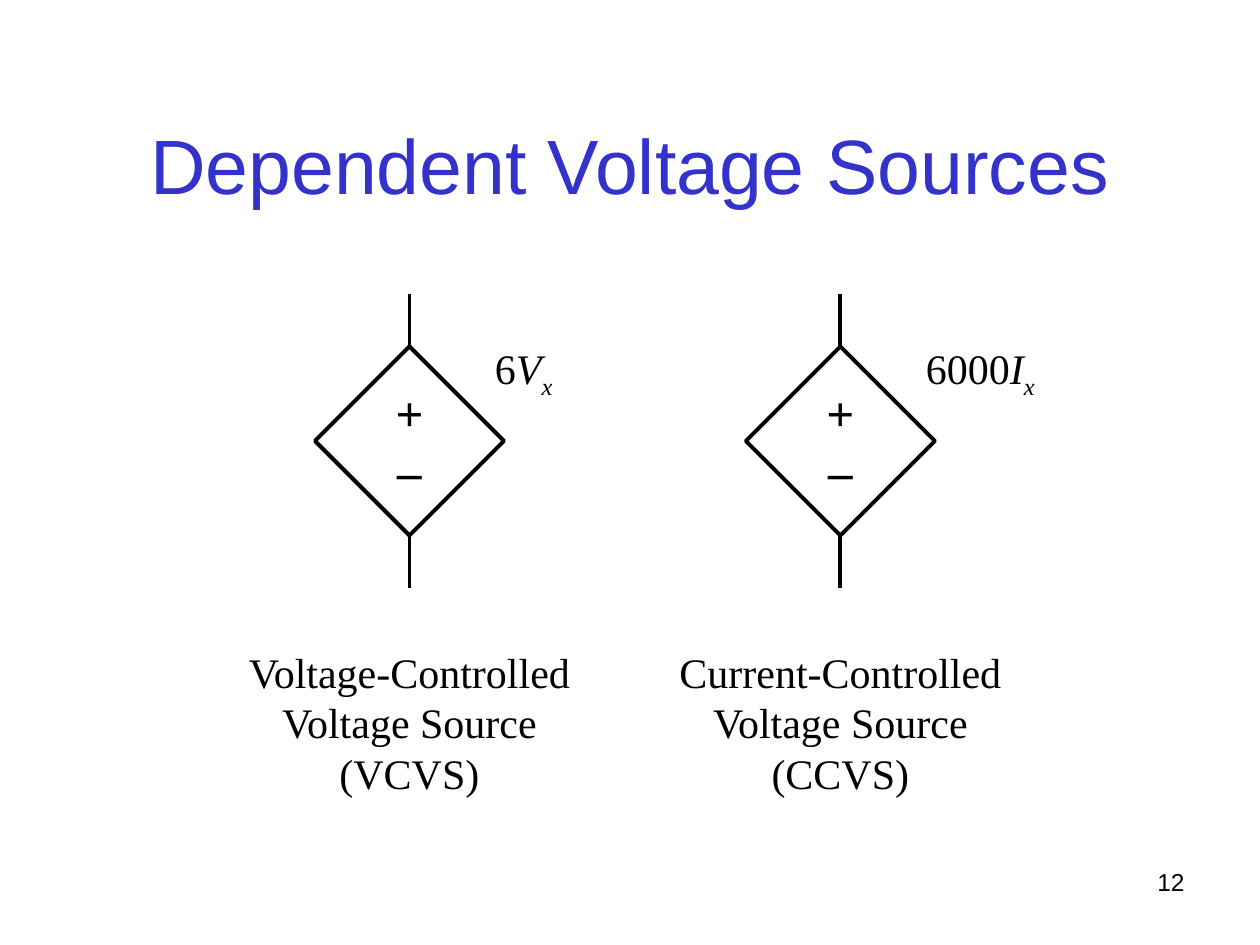
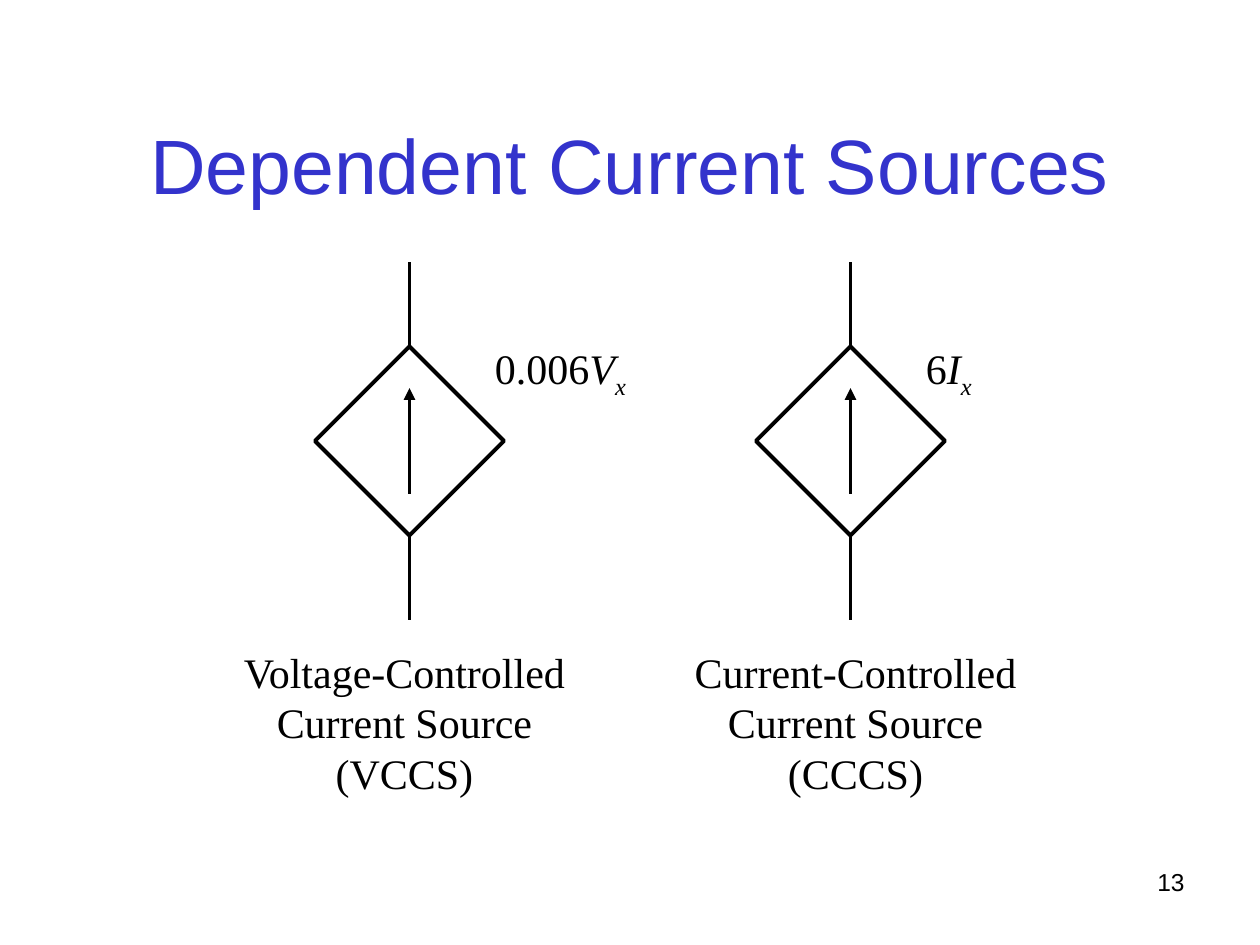
from lxml import etree
from pptx import Presentation
from pptx.dml.color import RGBColor
from pptx.enum.shapes import MSO_CONNECTOR, MSO_SHAPE
from pptx.enum.text import MSO_ANCHOR, PP_ALIGN
from pptx.oxml.ns import qn
from pptx.util import Inches, Pt

LEFT, CENTER, RIGHT = PP_ALIGN.LEFT, PP_ALIGN.CENTER, PP_ALIGN.RIGHT
TOP, MIDDLE = MSO_ANCHOR.TOP, MSO_ANCHOR.MIDDLE
STRAIGHT, DIAMOND = MSO_CONNECTOR.STRAIGHT, MSO_SHAPE.DIAMOND
TOP_SITE, BOTTOM_SITE = 0, 2

COLORS = {"title": "3333CC", "ink": "000000"}
SANS, SERIF = "Arial", "Times New Roman"

# Each source: centre x, caption centre x, caption, (gain, variable, subscript), label width
SLIDES = [
    {
        "number": 12, "title": "Dependent Voltage Sources", "kind": "voltage",
        "lead": 0.42, "caption_width": 2.83,
        "sources": [
            (3.25, 3.25, "Voltage-Controlled Voltage Source (VCVS)", ("6", "V", "x"), 0.92),
            (6.67, 6.67, "Current-Controlled Voltage Source (CCVS)", ("6000", "I", "x"), 1.17),
        ],
    },
    {
        "number": 13, "title": "Dependent Current Sources", "kind": "current",
        "lead": 0.67, "caption_width": 2.92,
        "sources": [
            (3.25, 3.21, "Voltage-Controlled Current Source (VCCS)", ("0.006", "V", "x"), 1.33),
            (6.75, 6.79, "Current-Controlled Current Source (CCCS)", ("6", "I", "x"), 1.17),
        ],
    },
]

SLIDE_WIDTH, SLIDE_HEIGHT = 10, 7.5
MIDDLE_Y = 3.5
DIAMOND_SIZE = 1.5
HALF = DIAMOND_SIZE / 2
ARROW_HALF = 0.42
LABEL_LEFTS = (3.83, 7.25)
LABEL_TOP, LABEL_HEIGHT = 2.67, 0.56
CAPTION_TOP, CAPTION_HEIGHT = 5.08, 1.3
LINE_WIDTH = 2.25


def color(name):
    return RGBColor.from_string(COLORS[name])


def style(paragraph, size, font, align, ink="ink", bold=False):
    paragraph.alignment = align
    paragraph.font.size = Pt(size)
    paragraph.font.name = font
    paragraph.font.bold = bold
    paragraph.font.color.rgb = color(ink)


def add_text(slide, box, text, size, font, align=CENTER, ink="ink", anchor=TOP):
    """Add a wrapped one-paragraph text box and return its paragraph."""
    frame = slide.shapes.add_textbox(*map(Inches, box)).text_frame
    frame.word_wrap = True
    frame.vertical_anchor = anchor
    paragraph = frame.paragraphs[0]
    paragraph.text = text
    style(paragraph, size, font, align, ink)
    return paragraph


def add_line(slide, x, start_y, end_y, arrow=False):
    """Draw a vertical line, with an arrowhead at its end if asked."""
    line = slide.shapes.add_connector(
        STRAIGHT, Inches(x), Inches(start_y), Inches(x), Inches(end_y))
    line.line.width = Pt(LINE_WIDTH)
    line.line.color.rgb = color("ink")
    if arrow:
        etree.SubElement(line.line._get_or_add_ln(), qn("a:tailEnd"), type="triangle")
    etree.SubElement(line._element.spPr, qn("a:effectLst"))
    return line


def add_diamond(slide, center_x):
    diamond = slide.shapes.add_shape(
        DIAMOND, Inches(center_x - HALF), Inches(MIDDLE_Y - HALF),
        Inches(DIAMOND_SIZE), Inches(DIAMOND_SIZE))
    diamond.shadow.inherit = False
    diamond.fill.background()
    diamond.line.color.rgb = color("ink")
    diamond.line.width = Pt(LINE_WIDTH)
    return diamond


def add_polarity(diamond):
    frame = diamond.text_frame
    frame.word_wrap = False
    frame.vertical_anchor = MIDDLE
    frame.text = "+\n–"
    for paragraph in frame.paragraphs:
        style(paragraph, 28, SERIF, CENTER, bold=True)


def add_symbol(slide, kind, center_x, lead):
    """Draw a dependent source with its two leads."""
    diamond = add_diamond(slide, center_x)
    if kind == "voltage":
        add_polarity(diamond)
    else:
        add_line(slide, center_x, MIDDLE_Y + ARROW_HALF, MIDDLE_Y - ARROW_HALF, arrow=True)
    top, bottom = MIDDLE_Y - HALF, MIDDLE_Y + HALF
    add_line(slide, center_x, top, top - lead).begin_connect(diamond, TOP_SITE)
    add_line(slide, center_x, bottom + lead, bottom).end_connect(diamond, BOTTOM_SITE)


def add_label(slide, left, width, label):
    gain, variable, subscript = label
    paragraph = add_text(slide, (left, LABEL_TOP, width, LABEL_HEIGHT), gain, 24, SERIF, LEFT)
    for text in (variable, subscript):
        run = paragraph.add_run()
        run.text = text
        run.font.italic = True
    run.font._element.set("baseline", "-25000")


def add_source_slide(presentation, content):
    slide = presentation.slides.add_slide(presentation.slide_layouts[6])
    add_text(slide, (7.42, 6.83, 2.08, 0.5), str(content["number"]), 14, SANS, RIGHT)
    add_text(slide, (0.75, 0.67, 8.5, 1.25), content["title"], 44, SANS,
             ink="title", anchor=MIDDLE)
    width = content["caption_width"]
    for label_left, source in zip(LABEL_LEFTS, content["sources"]):
        center_x, caption_x, caption, label, label_width = source
        add_symbol(slide, content["kind"], center_x, content["lead"])
        add_label(slide, label_left, label_width, label)
        add_text(slide, (caption_x - width / 2, CAPTION_TOP, width, CAPTION_HEIGHT),
                 caption, 24, SERIF)


def main():
    presentation = Presentation()
    presentation.slide_width = Inches(SLIDE_WIDTH)
    presentation.slide_height = Inches(SLIDE_HEIGHT)
    for content in SLIDES:
        add_source_slide(presentation, content)
    presentation.save("out.pptx")


if __name__ == "__main__":
    main()
